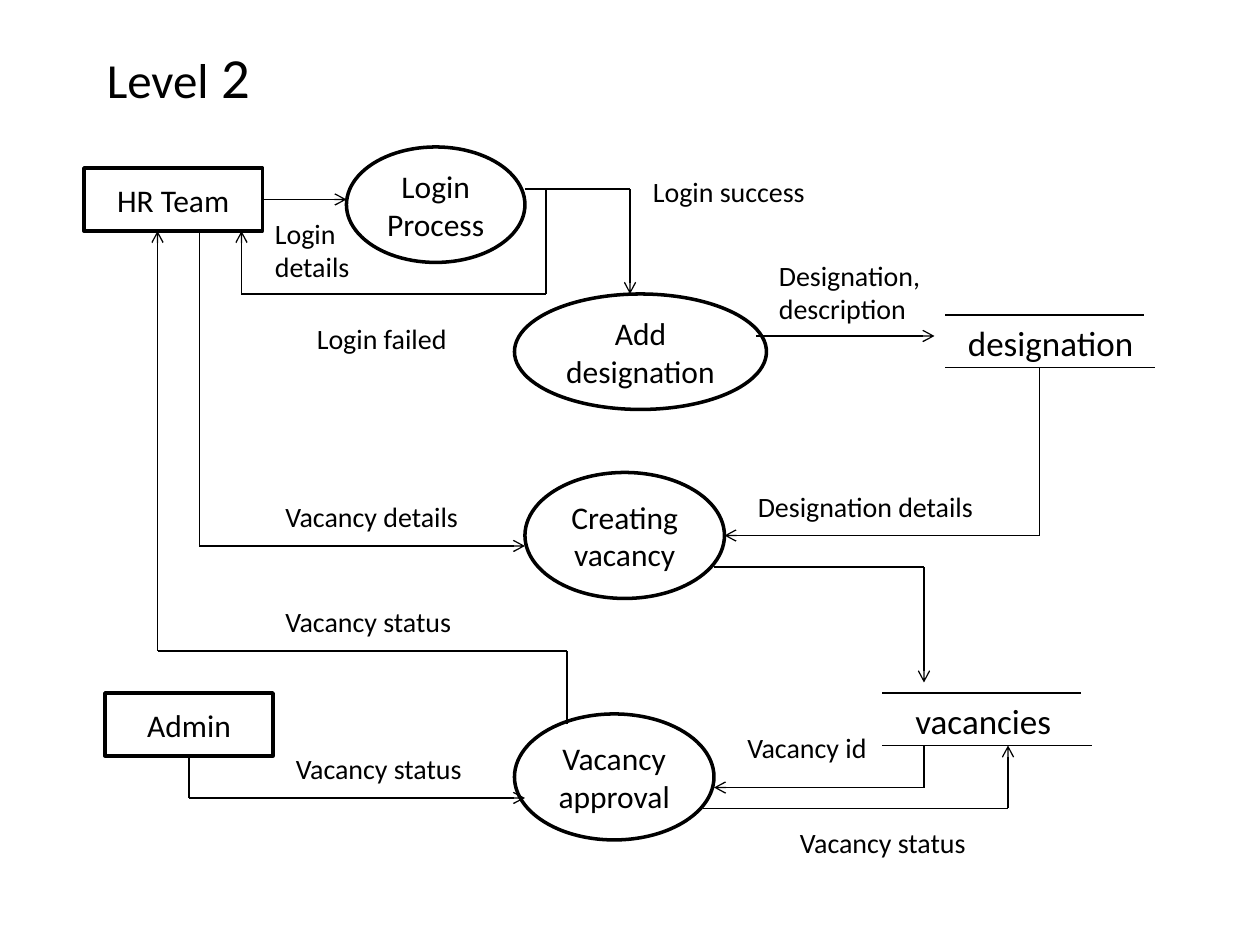
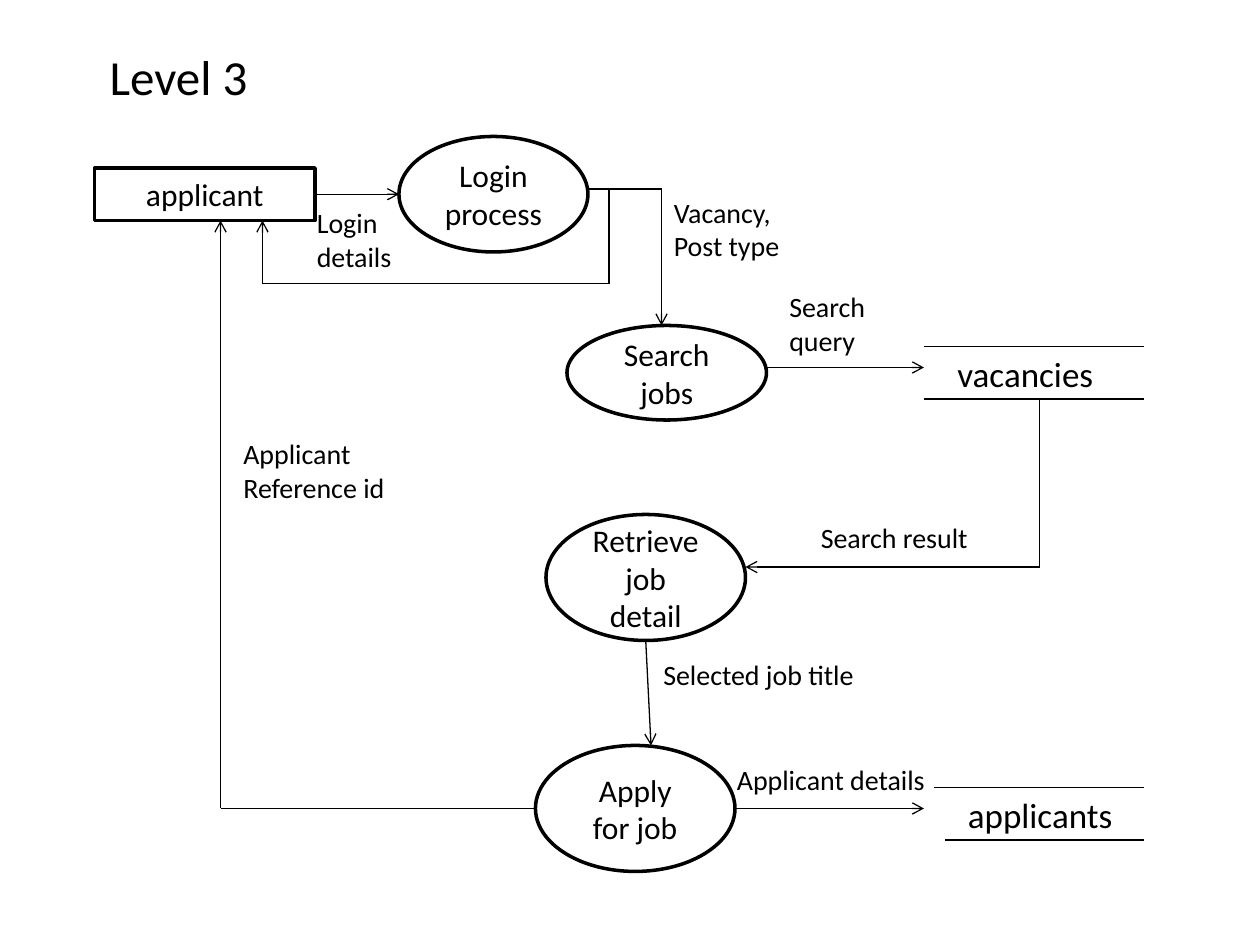
from pptx import Presentation
from pptx.dml.color import RGBColor
from pptx.enum.shapes import MSO_CONNECTOR as Connector, MSO_SHAPE as Shape
from pptx.enum.text import MSO_ANCHOR as Anchor, PP_ALIGN as Align
from pptx.oxml.ns import qn
from pptx.util import Cm, Pt
from lxml.etree import SubElement
from itertools import pairwise

BLACK = RGBColor(0x00, 0x00, 0x00)
WHITE = RGBColor(0xFF, 0xFF, 0xFF)
FONT = "Calibri"
TITLE_SIZE, NODE_SIZE, STORE_SIZE, LABEL_SIZE = 28, 18, 20, 16
STORE_HEIGHT = 5


def grid(*steps):
    """Lengths on the drawing grid: twelve steps to 2.54 cm."""
    return [Cm(step * 2.54 / 12) for step in steps]


class FlowDiagram:
    """Draws data flow diagrams; all positions are grid steps."""

    def __init__(self, presentation):
        self.presentation = presentation
        self.slide = None

    def new_slide(self):
        self.slide = self.presentation.slides.add_slide(
            self.presentation.slide_layouts[6])

    def format_text(self, text_frame, size, align):
        for paragraph in text_frame.paragraphs:
            paragraph.alignment = align
            for run in paragraph.runs:
                run.font.name = FONT
                run.font.size = Pt(size)
                run.font.color.rgb = BLACK

    def text(self, text, left, top, width, height, size, align, wrap=False):
        box = self.slide.shapes.add_textbox(*grid(left, top, width, height))
        text_frame = box.text_frame
        text_frame.word_wrap = wrap
        text_frame.text = text
        self.format_text(text_frame, size, align)
        return text_frame

    def title(self, word, number, number_size=TITLE_SIZE):
        text_frame = self.text(word, 4, 4.5, 26, 5.4, TITLE_SIZE,
                               Align.CENTER, wrap=True)
        text_frame.vertical_anchor = Anchor.MIDDLE
        paragraph = text_frame.paragraphs[0]
        paragraph.add_run().text = f" {number}"
        self.format_text(text_frame, TITLE_SIZE, Align.CENTER)
        paragraph.runs[-1].font.size = Pt(number_size)

    def label(self, text, left, top, width, lines=1, size=LABEL_SIZE,
              wrap=False):
        height = 1.2 + 0.2 * size * lines
        self.text(text, left, top, width, height, size, Align.LEFT, wrap)

    def node(self, kind, text, left, top, width, height):
        shape = self.slide.shapes.add_shape(
            kind, *grid(left, top, width, height))
        shape.shadow.inherit = False
        shape.fill.solid()
        shape.fill.fore_color.rgb = WHITE
        shape.line.color.rgb = BLACK
        shape.line.width = Pt(2)
        text_frame = shape.text_frame
        text_frame.word_wrap = True
        text_frame.vertical_anchor = Anchor.MIDDLE
        text_frame.text = text
        self.format_text(text_frame, NODE_SIZE, Align.CENTER)

    def entity(self, text, *box):
        self.node(Shape.RECTANGLE, text, *box)

    def process(self, text, *box):
        self.node(Shape.OVAL, text, *box)

    def line(self, start, end, arrow=False):
        connector = self.slide.shapes.add_connector(
            Connector.STRAIGHT, *grid(*start, *end))
        connector.line.color.rgb = BLACK
        connector.line.width = Pt(0.75)
        if arrow:
            outline = connector.line._get_or_add_ln()
            SubElement(outline, qn("a:tailEnd"), type="arrow")
        SubElement(connector._element.spPr, qn("a:effectLst"))

    def flow(self, *points):
        """Line through the points, with an arrowhead at the last one."""
        for start, end in pairwise(points):
            self.line(start, end, arrow=end == points[-1])

    def store(self, text, text_left, text_width, top, upper, lower):
        """Data store: a name between two rules, each given as (left, right)."""
        for (left, right), y in ((upper, top), (lower, top + STORE_HEIGHT)):
            self.line((left, y), (right, y))
        self.label(text, text_left, top, text_width, size=STORE_SIZE)


presentation = Presentation()
presentation.slide_width, presentation.slide_height = Cm(25.4), Cm(19.05)
diagram = FlowDiagram(presentation)

# Level 2: vacancy creation and approval
diagram.new_slide()
diagram.title("Level", 2, number_size=32.4)

diagram.entity("HR Team", 8, 16, 17, 6)
diagram.entity("Admin", 10, 66, 16, 6)
diagram.process("Login Process", 33, 14, 17, 11)
diagram.process("Add designation", 49, 28, 24, 11)
diagram.process("Creating vacancy", 50, 45, 19, 12)
diagram.process("Vacancy approval", 49, 68, 19, 12)
diagram.store("designation", 91, 18.4, 30, (90, 109), (90, 110))
diagram.store("vacancies", 86, 15.5, 66, (84, 103), (84, 104))

# Login, its failure loop and the designation
diagram.flow((25, 19), (33, 19))
diagram.flow((50, 18), (60, 18), (60, 28))
diagram.flow((52, 18), (52, 28), (23, 28), (23, 22))
diagram.flow((72, 32), (89, 32))
# Creating the vacancy
diagram.flow((99, 35), (99, 51), (69, 51))
diagram.flow((19, 22), (19, 52), (50, 52))
diagram.flow((68, 54), (88, 54), (88, 65))
# Approving the vacancy
diagram.flow((88, 71), (88, 75), (68, 75))
diagram.flow((67, 77), (96, 77), (96, 71))
diagram.flow((18, 72), (18, 76), (50, 76))
diagram.flow((54, 69), (54, 62), (15, 62), (15, 22))

diagram.label("Login\ndetails", 25, 20, 9.6, lines=2)
diagram.label("Login success", 61, 16, 17)
diagram.label("Login failed", 29, 30, 14.9)
diagram.label("Designation,\ndescription", 73, 24, 16.1, lines=2)
diagram.label("Designation details", 71, 46, 23)
diagram.label("Vacancy details", 26, 47, 19.1)
diagram.label("Vacancy id", 70, 69, 13.9)
for left, top in ((26, 57), (27, 71), (75, 78)):
    diagram.label("Vacancy status", left, top, 18.4)

# Level 3: job search and application
diagram.new_slide()
diagram.title("Level", 3)

diagram.entity("applicant", 9, 16, 21, 5)
diagram.process("Login process", 38, 13, 18, 11)
diagram.process("Search jobs", 54, 31, 19, 9)
diagram.process("Retrieve job detail", 52, 49, 19, 12)
diagram.process("Apply for job", 51, 71, 19, 12)
diagram.store("vacancies", 90, 15.5, 33, (88, 109), (88, 109))
diagram.store("applicants", 91, 16.3, 75, (89, 109), (90, 109))

# Login and its failure loop
diagram.flow((30, 18.5), (38, 18.5))
diagram.flow((56, 18), (63, 18), (63, 31))
diagram.flow((58, 18), (58, 27), (25, 27), (25, 21))
# Searching
diagram.flow((73, 35), (88, 35))
diagram.flow((99, 38), (99, 54), (71, 54))
# Applying
diagram.flow((61.5, 61), (62, 71))
diagram.flow((70, 77), (88, 77))
diagram.flow((51, 77), (21, 77), (21, 21))

diagram.label("Login\ndetails", 29, 19, 9.6, lines=2)
diagram.label("Vacancy,\nPost type", 63, 18, 12.6, lines=2)
diagram.label("Search query", 74, 27, 11, lines=2, wrap=True)
diagram.label("Search result", 77, 49, 16.6)
diagram.label("Selected job title", 62, 62, 20.9)
diagram.label("Applicant details", 69, 72, 20.5)
diagram.label("Applicant\nReference id", 22, 41, 16.1, lines=2)

presentation.save("out.pptx")
